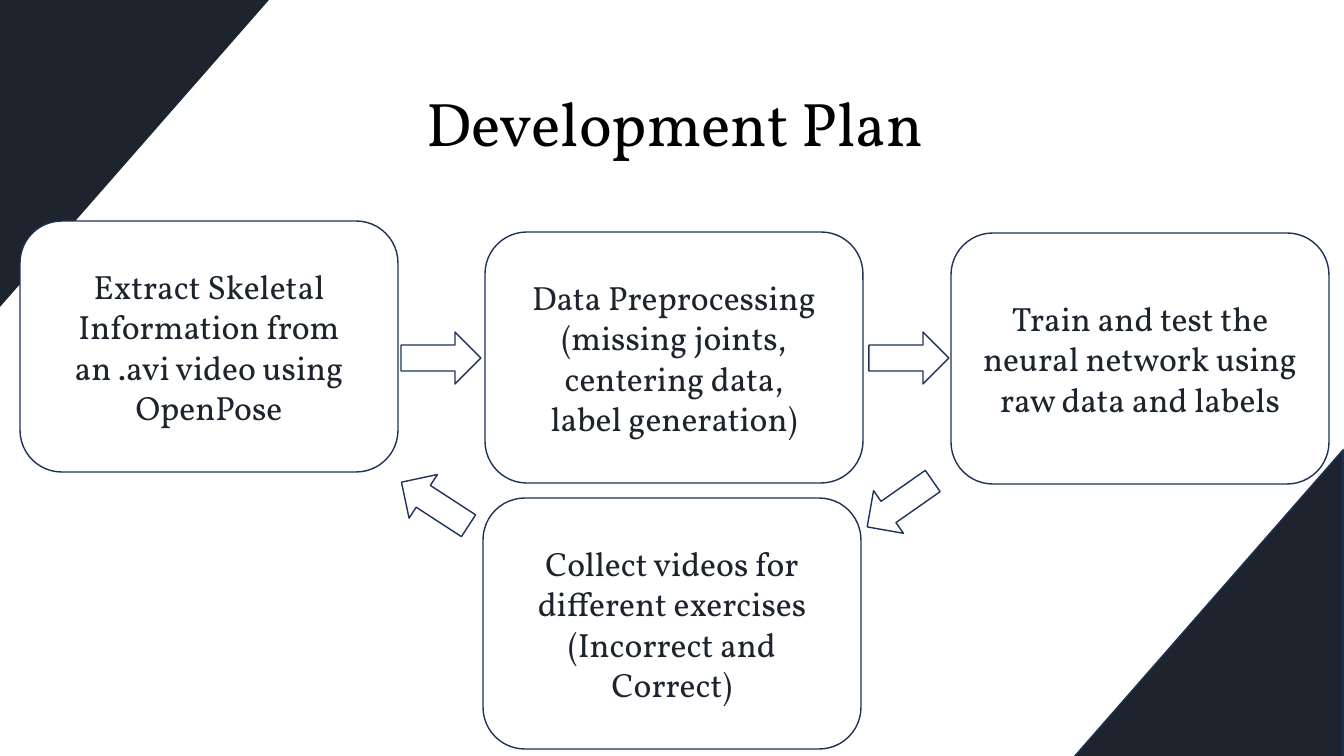
from pptx import Presentation
from pptx import util as u
from pptx.dml import color
from pptx.enum import shapes, text

COLORS = {"ink": "1D242E", "edge": "1E3256", "paper": "FFFFFF", "title": "000000"}
EMU_PER_PX = 914400 / 100.8
WIDTH, HEIGHT = 1344, 756


def px(value):
    return u.Emu(round(value * EMU_PER_PX))


class SlideBuilder:
    font = "Vollkorn"
    frame_format = {
        "word_wrap": True,
        "vertical_anchor": text.MSO_ANCHOR.MIDDLE,
        "margin_left": px(10),
        "margin_right": px(10),
        "margin_top": px(5),
        "margin_bottom": px(5),
    }

    def __init__(self, deck):
        self.page = deck.slides.add_slide(deck.slide_layouts[6])

    def rgb(self, name):
        return color.RGBColor.from_string(COLORS[name])

    def paint(self, shape, fill, line=None):
        shape.shadow.inherit = False
        shape.fill.solid()
        shape.fill.fore_color.rgb = self.rgb(fill)
        if line:
            shape.line.color.rgb = self.rgb(line)
            shape.line.width = u.Pt(1)
        else:
            shape.line.fill.background()

    def label(self, shape, lines, size, ink):
        frame = shape.text_frame
        for name, value in self.frame_format.items():
            setattr(frame, name, value)
        for index, line in enumerate(lines):
            para = frame.add_paragraph() if index else frame.paragraphs[0]
            para.alignment = text.PP_ALIGN.CENTER
            span = para.add_run()
            span.text = line
            for name, value in {"name": self.font, "size": u.Pt(size)}.items():
                setattr(span.font, name, value)
            span.font.color.rgb = self.rgb(ink)

    def corner(self, points):
        start, *rest = [(px(x), px(y)) for x, y in points]
        outline = self.page.shapes.build_freeform(*start)
        outline.add_line_segments(rest, close=True)
        self.paint(outline.convert_to_shape(), "ink")

    def shape(self, kind, place, fill, rotation=0):
        shape = self.page.shapes.add_shape(kind, *map(px, place))
        shape.rotation = rotation
        self.paint(shape, fill, "edge")
        return shape

    def title(self, words, place):
        box = self.page.shapes.add_textbox(*map(px, place))
        self.label(box, [words], 44, "title")

    def step(self, lines, left, top):
        kind = shapes.MSO_SHAPE.ROUNDED_RECTANGLE
        box = self.shape(kind, (left, top, 378, 251), "paper")
        self.label(box, lines, 24, "ink")

    def arrow(self, left, top, rotation):
        kind = shapes.MSO_SHAPE.DOWN_ARROW
        self.shape(kind, (left, top, 52, 80), "paper", rotation)


def main():
    deck = Presentation()
    deck.slide_width, deck.slide_height = px(WIDTH), px(HEIGHT)
    plan = SlideBuilder(deck)

    plan.corner([(WIDTH, 449), (WIDTH, HEIGHT), (1075, HEIGHT)])
    plan.corner([(0, 307), (0, 0), (269, 0)])
    plan.shape(shapes.MSO_SHAPE.RIGHT_TRIANGLE, (1055, 469, 307, 269), "ink", 270)
    plan.title("Development Plan", (129, 47, 1092, 150))

    steps = [
        (["Extract Skeletal Information from an .avi video using OpenPose"], 20, 221),
        (["Train and test the neural network using raw data and labels"], 951, 233),
        (["Collect videos for different exercises (Incorrect and Correct)"], 483, 498),
        (["Data Preprocessing", "(missing joints,", "centering data,", "label generation)"], 485, 232),
    ]
    for step in steps:
        plan.step(*step)

    for arrow in [(415, 318, 270), (883, 318, 270), (409, 464, 123), (874, 464, 55)]:
        plan.arrow(*arrow)

    deck.save("out.pptx")


if __name__ == "__main__":
    main()
